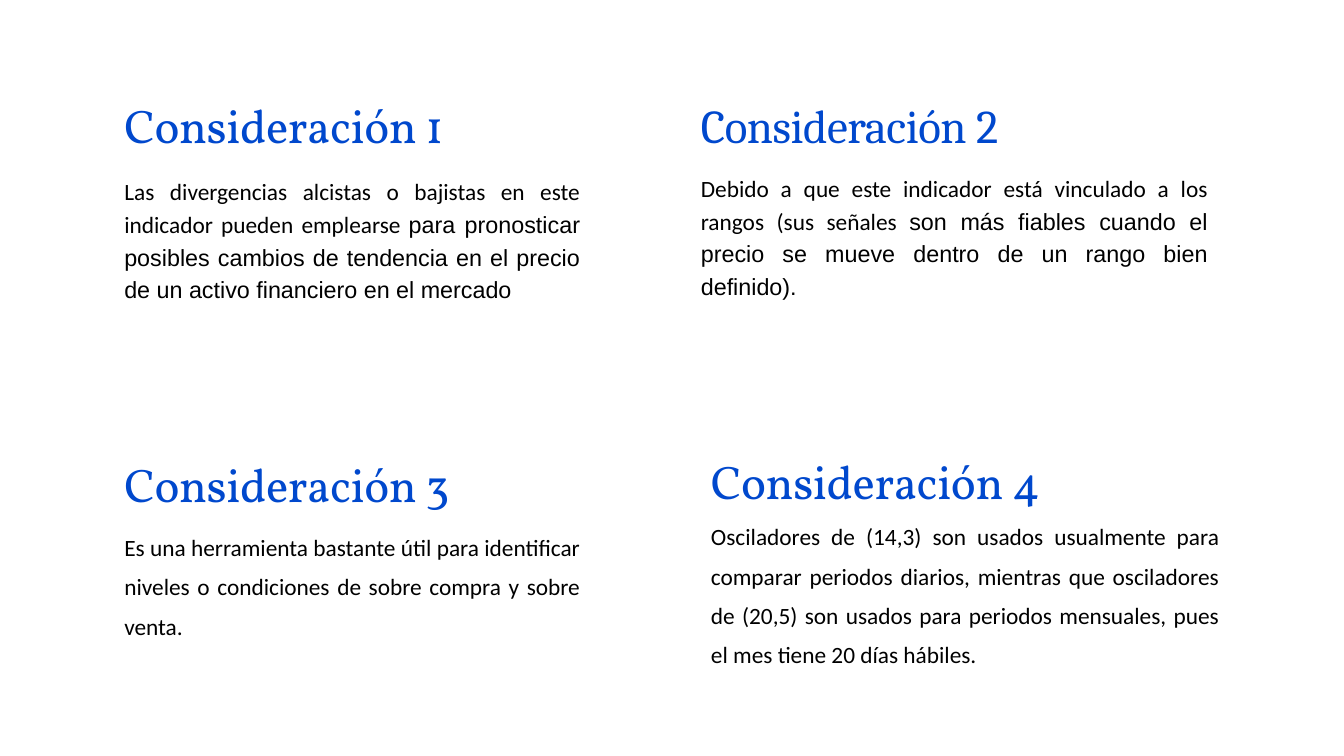
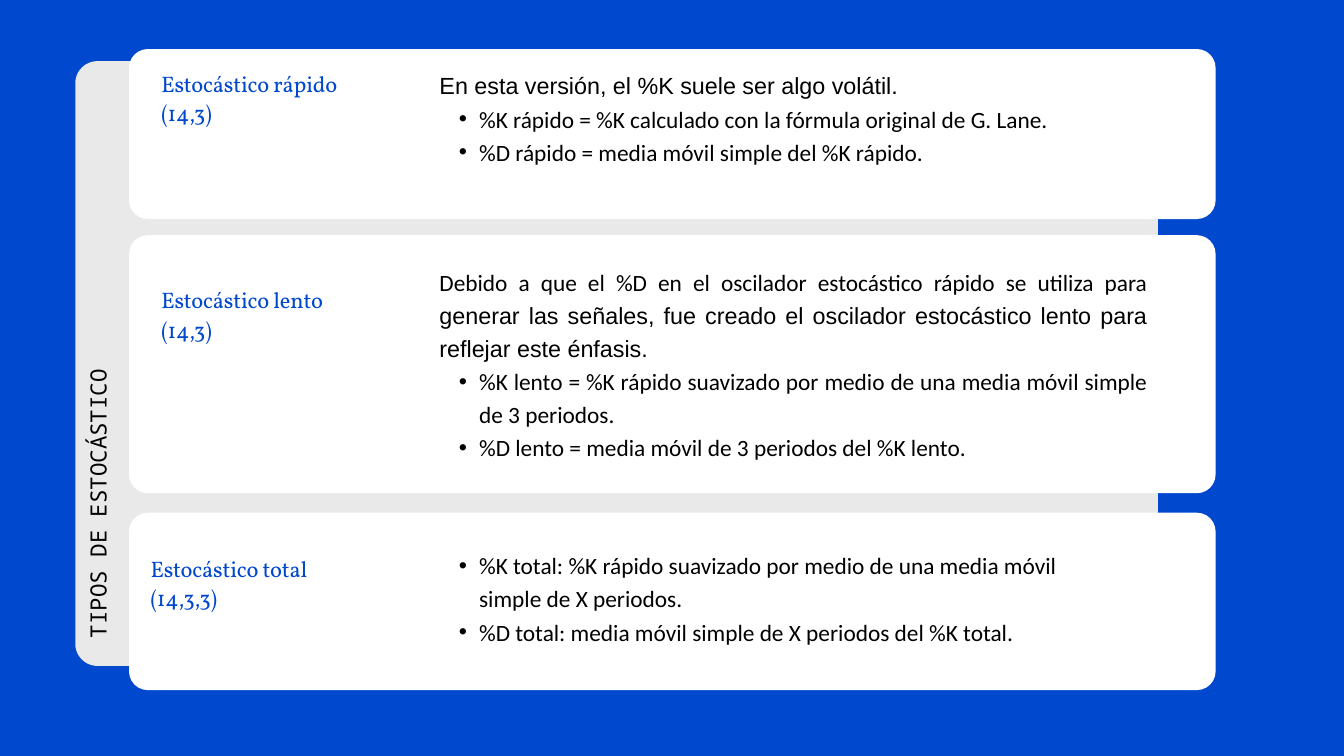
"""Build two slides on the stochastic oscillator: considerations and types."""
from lxml import etree
from pptx import Presentation
from pptx import util as u
from pptx.dml.color import RGBColor
from pptx.enum import shapes, text
from pptx.oxml.ns import qn

PX = 9144
WIDTH, HEIGHT = 2000, 1125
BLUE, GREY, WHITE, BLACK = "0048CD", "E9E9E9", "FFFFFF", "000000"
SERIF, SANS, BODY, MONO = "Vollkorn", "Arial", "Calibri", "Noto Sans Mono"

HEADING = dict(size=50.4, color=BLUE, leading=65.5, spacing=-50)
LABEL = dict(size=24, color=BLUE, leading=31.2, spacing=-20)
SIDE = dict(size=24, color=BLACK, leading=33.6)
COPY = dict(size=25, color=BLACK, align=text.PP_ALIGN.JUSTIFY)

CONSIDERATIONS = [
    dict(card=None, heading=(185, 137, 678, 88), font=SERIF,
         body=(185, 257, 678, 240), leading=35,
         runs=[("Las divergencias alcistas o bajistas en este indicador "
                "pueden emplearse ", BODY),
               ("para pronosticar posibles cambios de tendencia en el precio "
                "de un activo financiero en el mercado", SANS)]),
    dict(card=(1000, 55, 873, 508), heading=(1043, 137, 754, 88),
         font="Cambria", body=(1043, 252, 754, 191), leading=35,
         runs=[("Debido a que este indicador está vinculado a los rangos "
                "(sus señales ", BODY),
               ("son más fiables cuando el precio se mueve dentro de un "
                "rango bien definido).", SANS)]),
    dict(card=(115, 608, 843, 464), heading=(185, 671, 678, 88), font=SERIF,
         body=(185, 777, 678, 172), leading=42,
         runs=[("Es una herramienta bastante útil para identificar niveles o "
                "condiciones de sobre compra y sobre venta.", BODY)]),
    dict(card=(1003, 607, 882, 464), heading=(1058, 667, 756, 91), font=SERIF,
         body=(1058, 761, 756, 229), leading=42,
         runs=[("Osciladores de (14,3) son usados usualmente para comparar "
                "periodos diarios, mientras que osciladores de (20,5) son "
                "usados para periodos mensuales, pues el mes tiene 20 días "
                "hábiles.", BODY)]),
]

TYPES = [
    dict(top=73, height=253, label=(240, 101), name="Estocástico rápido",
         periods="(14,3)", body=(654, 99, 1053, 147),
         align=text.PP_ALIGN.JUSTIFY,
         intro=[("En esta versión, el %K suele ser algo volátil.", SANS)],
         bullets=["%K rápido = %K calculado con la fórmula original de "
                  "G. Lane.",
                  "%D rápido = media móvil simple del %K rápido."]),
    dict(top=350, height=384, label=(240, 423), name="Estocástico lento",
         periods="(14,3)", body=(654, 391, 1053, 293),
         align=text.PP_ALIGN.JUSTIFY,
         intro=[("Debido a que el %D en el oscilador estocástico rápido se "
                 "utiliza para ", BODY),
                ("generar las señales, fue creado el oscilador estocástico "
                 "lento para reflejar este énfasis.", SANS)],
         bullets=["%K lento = %K rápido suavizado por medio de una media "
                  "móvil simple de 3 periodos.",
                  "%D lento = media móvil de 3 periodos del %K lento."]),
    dict(top=763, height=264, label=(224, 823), name="Estocástico total",
         periods="(14,3,3)", body=(654, 813, 1013, 145),
         align=text.PP_ALIGN.LEFT, intro=None,
         bullets=["%K total: %K rápido suavizado por medio de una media "
                  "móvil simple de X periodos.",
                  "%D total: media móvil simple de X periodos del "
                  "%K total."]),
]


def rgb(value):
    """Turn a hex string into a colour."""
    return RGBColor.from_string(value)


def emu(box):
    """Turn px lengths into EMU."""
    return [n * PX for n in box]


def add_slide(prs, color):
    """Add a blank slide with a plain background."""
    s = prs.slides.add_slide(prs.slide_layouts[6])
    fill = s.background.fill
    fill.solid()
    fill.fore_color.rgb = rgb(color)
    return s


def add_card(s, box, color, radius):
    """Draw a borderless rounded panel."""
    sp = s.shapes.add_shape(shapes.MSO_SHAPE.ROUNDED_RECTANGLE, *emu(box))
    sp.adjustments[0] = radius / min(box[2:])
    sp.shadow.inherit = False
    sp.fill.solid()
    sp.fill.fore_color.rgb = rgb(color)
    sp.line.fill.background()


def add_bullet(p):
    """Give a paragraph a hanging bullet on the second level."""
    p.level = 1
    pPr = p._p.get_or_add_pPr()
    pPr.set("marL", str(59 * PX))
    pPr.set("indent", str(-30 * PX))
    etree.SubElement(pPr, qn("a:buFont")).set("typeface", SANS)
    etree.SubElement(pPr, qn("a:buChar")).set("char", "•")


def add_text(s, box, paragraphs, style, rotation=0):
    """Write paragraphs, each a pair of (text, font) runs and a bullet flag."""
    sp = s.shapes.add_textbox(*emu(box))
    sp.rotation = rotation
    tf = sp.text_frame
    frame = dict(margin_left=0, margin_top=0, margin_right=0, margin_bottom=0,
                 word_wrap=True,
                 auto_size=text.MSO_AUTO_SIZE.SHAPE_TO_FIT_TEXT)
    for name, value in frame.items():
        setattr(tf, name, value)
    for i, (runs, bulleted) in enumerate(paragraphs):
        p = tf.add_paragraph() if i else tf.paragraphs[0]
        if bulleted:
            add_bullet(p)
        p.alignment = style.get("align", text.PP_ALIGN.LEFT)
        p.line_spacing = u.Pt(style["leading"])
        for words, font in runs:
            r = p.add_run()
            r.text = words
            for name, value in dict(name=font,
                                    size=u.Pt(style["size"])).items():
                setattr(r.font, name, value)
            r.font.color.rgb = rgb(style["color"])
            if "spacing" in style:
                r._r.get_or_add_rPr().set("spc", str(style["spacing"]))


def add_consideration(s, number, item):
    """Place one numbered heading with its paragraph."""
    if item["card"]:
        add_card(s, item["card"], WHITE, 16)
    heading = [(f"Consideración {number}", item["font"])]
    add_text(s, item["heading"], [(heading, False)], HEADING)
    add_text(s, item["body"], [(item["runs"], False)],
             dict(COPY, leading=item["leading"]))


def add_type(s, item):
    """Place one card with its label, introduction and bullets."""
    add_card(s, (192, item["top"], 1617, item["height"]), WHITE, 28)
    paragraphs = [(item["intro"], False)] if item["intro"] else []
    paragraphs += [([(words, BODY)], True) for words in item["bullets"]]
    add_text(s, item["body"], paragraphs,
             dict(COPY, leading=35.5, align=item["align"]))
    label = [([(words, SERIF)], False)
             for words in (item["name"], item["periods"])]
    add_text(s, (*item["label"], 385, 86), label, LABEL)


def main():
    """Build and save the presentation."""
    prs = Presentation()
    prs.slide_width, prs.slide_height = emu((WIDTH, HEIGHT))

    s = add_slide(prs, WHITE)
    for number, item in enumerate(CONSIDERATIONS, 1):
        add_consideration(s, number, item)

    s = add_slide(prs, BLUE)
    add_card(s, (112, 91, 1611, 900), GREY, 33)
    add_text(s, (-240, 546, 762, 45),
             [([("TIPOS DE ESTOCÁSTICO", MONO)], False)], SIDE, rotation=270)
    for item in TYPES:
        add_type(s, item)

    prs.save("out.pptx")


if __name__ == "__main__":
    main()
